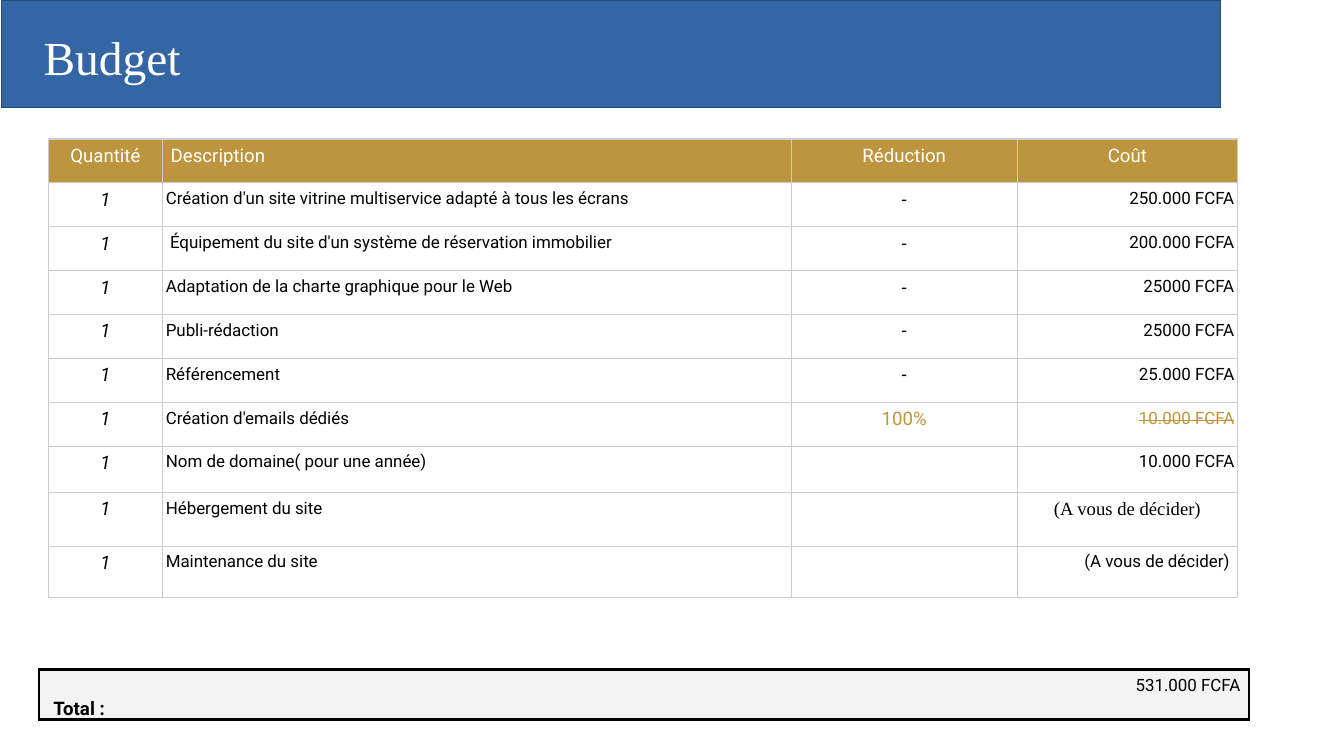
import pptx
import pptx.util
import pptx.dml.color
import pptx.enum.shapes
import pptx.enum.text
import pptx.oxml
import pptx.oxml.ns

Inches = pptx.util.Inches
Pt = pptx.util.Pt
RGBColor = pptx.dml.color.RGBColor
ALIGN = pptx.enum.text.PP_ALIGN
MIDDLE = pptx.enum.text.MSO_ANCHOR.MIDDLE

BLUE = RGBColor(0x34, 0x65, 0xA4)
NAVY = RGBColor(0x1F, 0x49, 0x7D)
GOLD = RGBColor(0xBD, 0x95, 0x3E)
PALE = RGBColor(0xF3, 0xF3, 0xF3)
GREY = RGBColor(0xCC, 0xCC, 0xCC)
WHITE = RGBColor(0xFF, 0xFF, 0xFF)
BLACK = RGBColor(0x00, 0x00, 0x00)

SANS = "Roboto"
SERIF = "Times New Roman"
WIDE = 0.07
SLIM = 0.03

HEADS = ["Quantité", "Description", "Réduction", "Coût"]
ITEMS = [
    ("Création d'un site vitrine multiservice adapté à tous les écrans", "-", "250.000 FCFA"),
    (" Équipement du site d'un système de réservation immobilier", "-", "200.000 FCFA"),
    ("Adaptation de la charte graphique pour le Web", "-", "25000 FCFA"),
    ("Publi-rédaction", "-", "25000 FCFA"),
    ("Référencement", "-", "25.000 FCFA"),
    ("Création d'emails dédiés", "100%", "10.000 FCFA"),
    ("Nom de domaine( pour une année)", "", "10.000 FCFA"),
    ("Hébergement du site", "", "(A vous de décider)"),
    ("Maintenance du site", "", "(A vous de décider)"),
]
COLS = [0.93, 5.16, 1.85, 1.81]
ROWS = [0.36] * 7 + [0.38, 0.44, 0.42]


def write(frame, text, size, color, face=SANS, align=ALIGN.LEFT, bold=False, italic=False):
    frame.text = text
    line = frame.paragraphs[0]
    line.alignment = align
    for run in line.runs:
        font = run.font
        font.name, font.size = face, Pt(size)
        font.bold, font.italic = bold, italic
        font.color.rgb = color


def add_band(slide):
    band = slide.shapes.add_shape(
        pptx.enum.shapes.MSO_SHAPE.RECTANGLE,
        Inches(0.01), Inches(0), Inches(10), Inches(0.88))
    band.shadow.inherit = False
    band.fill.solid()
    band.fill.fore_color.rgb = BLUE
    band.line.color.rgb = NAVY
    band.line.width = Pt(0.75)


def add_label(slide, left, top, width, height, text, size, color, **style):
    box = slide.shapes.add_textbox(Inches(left), Inches(top), Inches(width), Inches(height))
    frame = box.text_frame
    frame.word_wrap = True
    frame.margin_left = frame.margin_right = Inches(0.1)
    frame.margin_top = frame.margin_bottom = Inches(0.1)
    write(frame, text, size, color, **style)
    return frame


def add_grid(slide, left, top, cols, rows):
    table = slide.shapes.add_table(
        len(rows), len(cols), Inches(left), Inches(top),
        Inches(sum(cols)), Inches(sum(rows))).table
    table.first_row = table.horz_banding = False
    for col, width in zip(table.columns, cols):
        col.width = Inches(width)
    for row, height in zip(table.rows, rows):
        row.height = Inches(height)
    return table


def set_edge(cell, color, width):
    props = cell._tc.get_or_add_tcPr()
    space = pptx.oxml.ns.nsdecls("a")
    for spot, side in enumerate("LRTB"):
        props.insert(spot, pptx.oxml.parse_xml(
            f'<a:ln{side} {space} w="{Pt(width)}"><a:solidFill>'
            f'<a:srgbClr val="{color}"/></a:solidFill></a:ln{side}>'))


def fill_cell(cell, text, size, color, pad=WIDE, back=None, edge=GREY, width=0.75, **style):
    if back is None:
        cell.fill.background()
    else:
        cell.fill.solid()
        cell.fill.fore_color.rgb = back
    set_edge(cell, edge, width)
    cell.margin_left = cell.margin_right = Inches(pad)
    cell.margin_top = cell.margin_bottom = Inches(0.05 if text else 0)
    if text:
        write(cell.text_frame, text, size, color, **style)


def add_budget(slide):
    table = add_grid(slide, 0.4, 1.14, COLS, ROWS)
    for col, head in enumerate(HEADS):
        align = ALIGN.LEFT if head == "Description" else ALIGN.CENTER
        fill_cell(table.cell(0, col), head, 11, WHITE, back=GOLD, align=align)
    for row, (item, cut, cost) in enumerate(ITEMS, 1):
        free = cut == "100%"
        tint = GOLD if free else BLACK
        fill_cell(table.cell(row, 0), "1", 11, BLACK, align=ALIGN.CENTER, italic=True)
        fill_cell(table.cell(row, 1), item, 10, BLACK, pad=SLIM)
        fill_cell(table.cell(row, 2), cut, 11, tint, align=ALIGN.CENTER)
        price = table.cell(row, 3)
        if item.startswith("Hébergement"):
            fill_cell(price, cost, 11, tint, pad=SLIM, face=SERIF, align=ALIGN.CENTER)
        else:
            pad = WIDE if item.startswith("Maintenance") else SLIM
            fill_cell(price, cost, 10, tint, pad=pad, align=ALIGN.RIGHT)
        if free:
            run = price.text_frame.paragraphs[0].runs[0]
            run._r.get_or_add_rPr().set("strike", "sngStrike")


def add_total(slide):
    table = add_grid(slide, 0.32, 5.49, [9.92], [0.41])
    fill_cell(table.cell(0, 0), "531.000 FCFA", 10, BLACK, back=PALE,
              edge=BLACK, width=1.47, align=ALIGN.RIGHT)
    frame = add_label(slide, 0.34, 5.64, 3.28, 0.33, "Total :", 11, BLACK, bold=True)
    frame.vertical_anchor = MIDDLE


def main():
    deck = pptx.Presentation()
    deck.slide_width = Inches(11.02)
    deck.slide_height = Inches(6.2)
    slide = deck.slides.add_slide(deck.slide_layouts[6])
    add_band(slide)
    add_label(slide, 0.26, 0.13, 9.32, 0.63, "Budget", 28, WHITE, face=SERIF)
    add_budget(slide)
    add_total(slide)
    deck.save("out.pptx")


if __name__ == "__main__":
    main()
